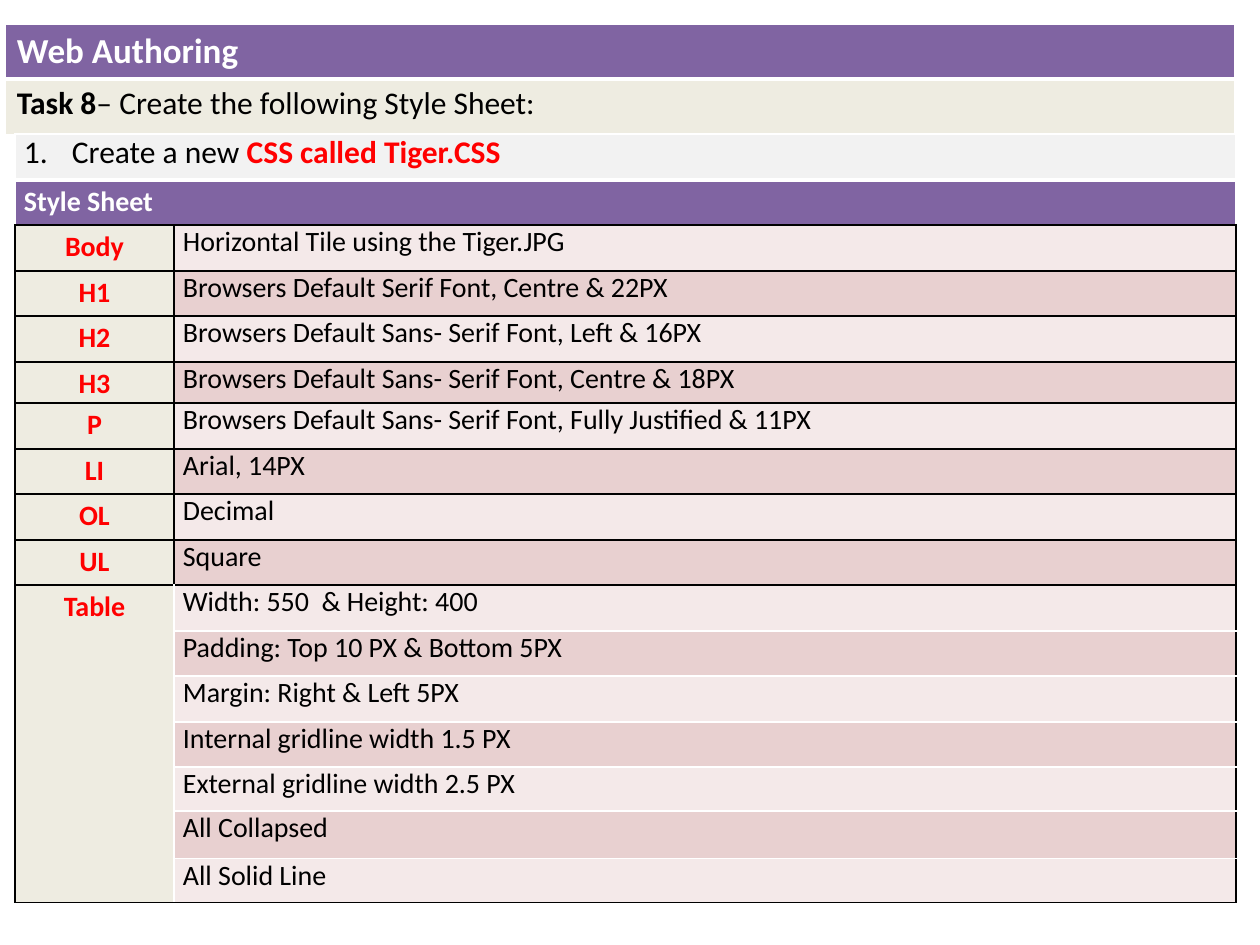
from lxml import etree
from pptx import Presentation
from pptx.dml.color import RGBColor
from pptx.enum.text import PP_ALIGN
from pptx.oxml.ns import qn
from pptx.util import Pt

CENTER = PP_ALIGN.CENTER
EMU_PER_PX = 914400 // 126
FONT = "Calibri"
BLACK, WHITE, RED = "000000", "FFFFFF", "FF0000"
PURPLE, CREAM, GREY = "8064A2", "EEECE1", "F2F2F2"
BANDS = ("F4E9E9", "E8D0D0")
WHITE_EDGES = {"L": (WHITE, 1), "R": (WHITE, 1), "T": (WHITE, 1), "B": (WHITE, 1)}
BLACK_EDGES = {side: (BLACK, 1) for side in "LRTB"}
HEADING_EDGES = {**WHITE_EDGES, "B": (WHITE, 3)}

TAG_RULES = [
    ("Body", "Horizontal Tile using the Tiger.JPG"),
    ("H1", "Browsers Default Serif Font, Centre & 22PX"),
    ("H2", "Browsers Default Sans- Serif Font, Left & 16PX"),
    ("H3", "Browsers Default Sans- Serif Font, Centre & 18PX"),
    ("P", "Browsers Default Sans- Serif Font, Fully Justified & 11PX"),
    ("LI", "Arial, 14PX"),
    ("OL", "Decimal"),
    ("UL", "Square"),
]
TABLE_RULES = [
    "Width: 550  & Height: 400",
    "Padding: Top 10 PX & Bottom 5PX",
    "Margin: Right & Left 5PX",
    "Internal gridline width 1.5 PX",
    "External gridline width 2.5 PX",
    "All Collapsed",
    "All Solid Line",
]
ODD_HEIGHTS = {5: 41, 14: 44, 15: 48, 16: 44}


def px(length):
    return length * EMU_PER_PX


def color(hex_text):
    return RGBColor.from_string(hex_text)


def add_grid(page, left, top, columns, rows):
    frame = page.shapes.add_table(len(rows), len(columns), px(left), px(top),
                                  px(sum(columns)), px(sum(rows)))
    table = frame.table
    table.first_row = table.horz_banding = False
    for column, width in zip(table.columns, columns):
        column.width = px(width)
    for row, height in zip(table.rows, rows):
        row.height = px(height)
    return table


def style_cell(cell, fill, edges, margins):
    """Set the edges, fill and the (horizontal, vertical) margins."""
    properties = cell._tc.get_or_add_tcPr()
    for side, (edge_color, points) in edges.items():
        line = etree.SubElement(properties, qn(f"a:ln{side}"), w=str(Pt(points)))
        solid = etree.SubElement(line, qn("a:solidFill"))
        etree.SubElement(solid, qn("a:srgbClr"), val=edge_color)
    cell.fill.solid()
    cell.fill.fore_color.rgb = color(fill)
    cell.margin_left = cell.margin_right = px(margins[0])
    cell.margin_top = cell.margin_bottom = px(margins[1])


def write(cell, text, size, text_color=BLACK, bold=False):
    para = cell.text_frame.paragraphs[0]
    para.add_run().text = text
    para.font.name = FONT
    para.font.size = Pt(size)
    para.font.bold = bold
    para.font.color.rgb = color(text_color)
    return para


def add_span(para, text, text_color, bold):
    span = para.add_run()
    span.text = text
    span.font.bold = bold
    span.font.color.rgb = color(text_color)


def number(para, indent):
    properties = para._p.get_or_add_pPr()
    properties.set("marL", str(px(indent)))
    properties.set("indent", str(-px(indent)))
    etree.SubElement(properties, qn("a:buAutoNum"), type="arabicPeriod")


def add_task_heading(page, left, top, width):
    table = add_grid(page, left, top, [width], [55, 56])
    title, task = table.cell(0, 0), table.cell(1, 0)
    style_cell(title, PURPLE, HEADING_EDGES, (12, 6))
    write(title, "Web Authoring", 20, WHITE, True)
    style_cell(task, CREAM, WHITE_EDGES, (12, 6))
    para = write(task, "Task 8", 18)
    para.runs[0].font.bold = True
    add_span(para, "– Create the following Style Sheet:", BLACK, False)


def add_style_sheet(page, left, top, width):
    label_width = 159
    rules = TAG_RULES + [("Table" if i == 0 else None, rule)
                         for i, rule in enumerate(TABLE_RULES)]
    heights = [ODD_HEIGHTS.get(i, 45 if i % 2 else 46) for i in range(len(rules) + 2)]
    table = add_grid(page, left, top, [label_width, width - label_width], heights)
    margins = (9, 0)
    last_row, table_row = len(heights) - 1, 2 + len(TAG_RULES)

    header_looks = [(GREY, HEADING_EDGES),
                    (PURPLE, {**WHITE_EDGES, "B": (BLACK, 1)})]
    for row, (fill, edges) in enumerate(header_looks):
        for column in range(2):
            style_cell(table.cell(row, column), fill, edges, margins)
        table.cell(row, 0).merge(table.cell(row, 1))

    step = table.cell(0, 0)
    number(step.text_frame.paragraphs[0], 48)
    para = write(step, "Create a new ", 18)
    add_span(para, "CSS called Tiger.CSS", RED, True)
    write(table.cell(1, 0), "Style Sheet", 16, WHITE, True).line_spacing = 1.15

    for row, (label, rule) in enumerate(rules, start=2):
        label_edges, rule_edges = BLACK_EDGES, BLACK_EDGES
        if row >= table_row:
            label_edges = {**BLACK_EDGES, "R": (WHITE, 1)}
            rule_edges = {**WHITE_EDGES, "R": (BLACK, 1)}
            if row == table_row:
                rule_edges["T"] = (BLACK, 1)
            if row == last_row:
                rule_edges["B"] = (BLACK, 1)
        style_cell(table.cell(row, 0), CREAM, label_edges, margins)
        style_cell(table.cell(row, 1), BANDS[row % 2], rule_edges, margins)
        write(table.cell(row, 1), rule, 16)
        if label:
            para = write(table.cell(row, 0), label, 16, RED, True)
            para.alignment = CENTER
            para.line_spacing = 1.15
    table.cell(table_row, 0).merge(table.cell(last_row, 0))


def main():
    deck = Presentation()
    deck.slide_width, deck.slide_height = px(1260), px(945)
    page = deck.slides.add_slide(deck.slide_layouts[6])
    add_task_heading(page, 5, 24, 1230)
    add_style_sheet(page, 15, 134, 1221)
    deck.save("out.pptx")


if __name__ == "__main__":
    main()
